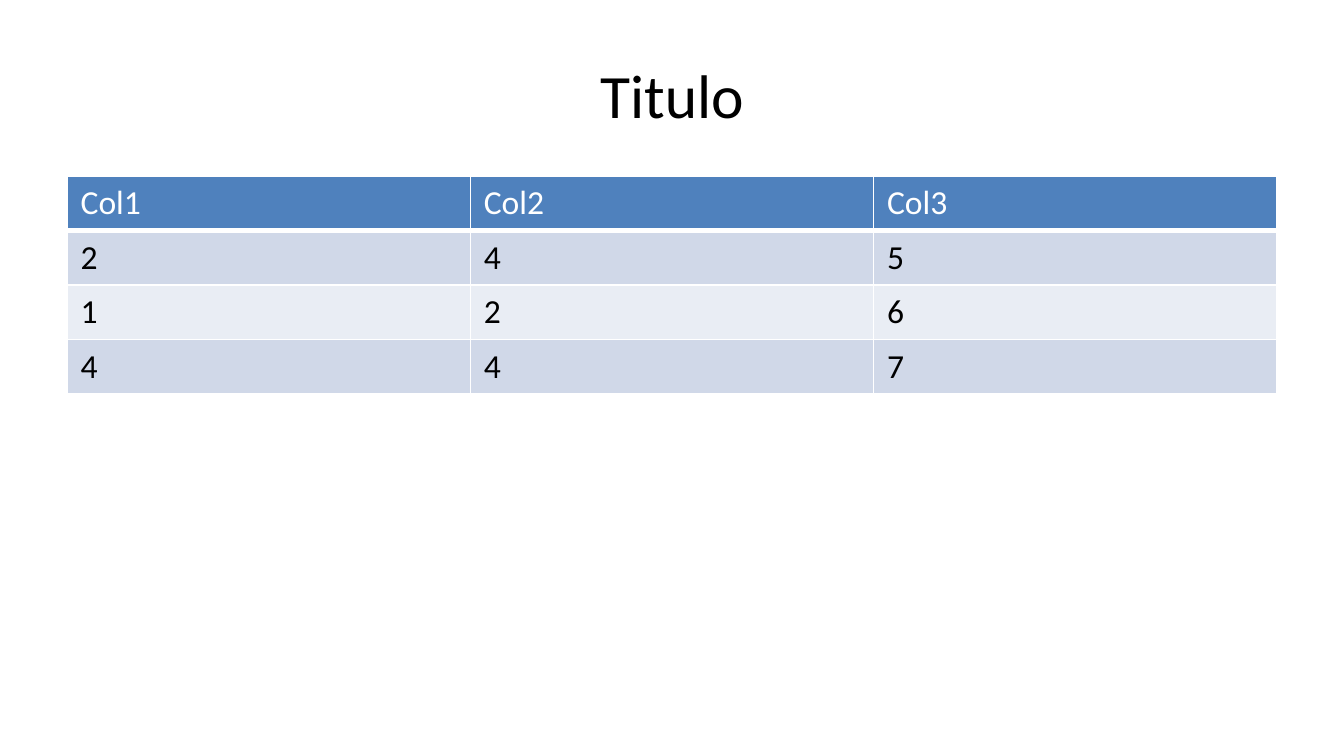
from lxml import etree
from pptx import Presentation
from pptx.dml.color import RGBColor
from pptx.enum import text
from pptx.oxml import ns
from pptx.util import Cm, Pt

BLACK = RGBColor(0x00, 0x00, 0x00)
WHITE = RGBColor(0xFF, 0xFF, 0xFF)
HEADER_BLUE = RGBColor(0x4F, 0x81, 0xBD)
BANDS = (RGBColor(0xE9, 0xED, 0xF4), RGBColor(0xD0, 0xD8, 0xE8))

MARGIN = Cm(1.27)
CONTENT_WIDTH = Cm(22.86)
ROW_HEIGHT = Cm(1.03)

ROWS = [
    ("Col1", "Col2", "Col3"),
    ("2", "4", "5"),
    ("1", "2", "6"),
    ("4", "4", "7"),
]


def format_font(paragraph, size, color):
    """Apply the slide's typeface to the text of a paragraph."""
    for run in paragraph.runs:
        for name, value in {"name": "Calibri", "size": Pt(size), "bold": False}.items():
            setattr(run.font, name, value)
        run.font.color.rgb = color


def set_borders(cell, widths):
    """Draw white cell borders; widths maps each side to points."""
    properties = cell._tc.get_or_add_tcPr()
    for side, width in widths.items():
        line = etree.SubElement(properties, ns.qn(f"a:ln{side}"), w=str(Pt(width)))
        fill = etree.SubElement(line, ns.qn("a:solidFill"))
        etree.SubElement(fill, ns.qn("a:srgbClr"), val=str(WHITE))


def add_title(slide, wording):
    title = slide.shapes.title
    place = {"left": MARGIN, "top": Cm(0.58), "width": CONTENT_WIDTH, "height": Cm(2.39)}
    for name, value in place.items():
        setattr(title, name, value)
    frame = title.text_frame
    frame.text = wording
    frame.vertical_anchor = text.MSO_ANCHOR.MIDDLE
    heading = frame.paragraphs[0]
    heading.alignment = text.PP_ALIGN.CENTER
    format_font(heading, 33, BLACK)


def add_data_table(slide, rows):
    table = slide.shapes.add_table(
        len(rows), len(rows[0]), MARGIN, Cm(3.33), CONTENT_WIDTH, ROW_HEIGHT * len(rows)
    ).table
    for r, values in enumerate(rows):
        is_header = r == 0
        for c, value in enumerate(values):
            cell = table.cell(r, c)
            cell.text = value
            format_font(cell.text_frame.paragraphs[0], 18, WHITE if is_header else BLACK)
            # The rule under the header is heavier than the grid
            set_borders(cell, {"L": 1, "R": 1, "T": 3 if r == 1 else 1,
                               "B": 3 if is_header else 1})
            cell.fill.solid()
            cell.fill.fore_color.rgb = HEADER_BLUE if is_header else BANDS[r % 2]


def main():
    presentation = Presentation()
    presentation.slide_width = Cm(25.4)
    presentation.slide_height = Cm(14.29)
    # Title-only layout
    slide = presentation.slides.add_slide(presentation.slide_layouts[5])
    add_title(slide, "Titulo")
    add_data_table(slide, ROWS)
    presentation.save("out.pptx")


main()
